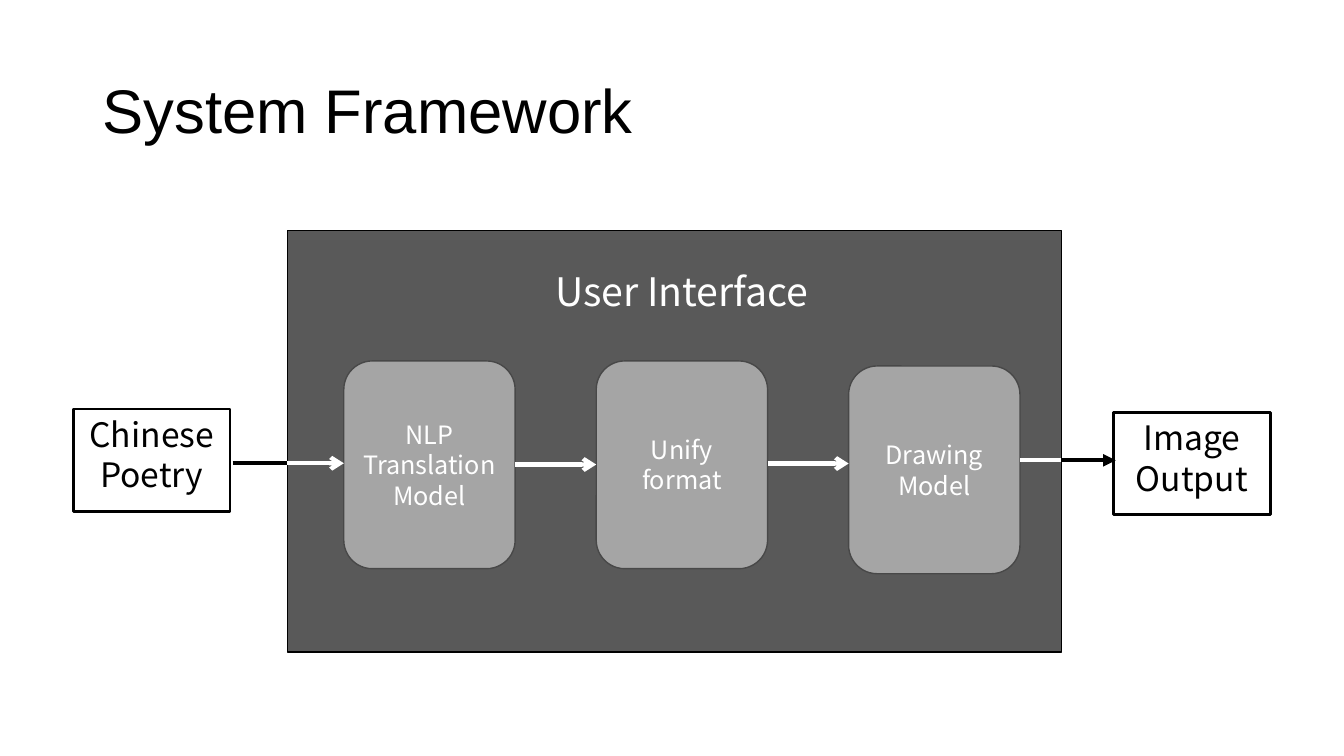
import pptx
import pptx.util
import pptx.dml.color
import pptx.enum.shapes
import pptx.enum.text
import pptx.oxml
import lxml.etree

Pt = pptx.util.Pt
SHAPE = pptx.enum.shapes.MSO_SHAPE
ANCHOR = pptx.enum.text.MSO_ANCHOR
COLORS = {"black": "000000", "white": "FFFFFF", "panel": "595959",
          "model": "A5A5A5", "edge": "484848"}
BODY_FONT = "Noto Sans CJK SC"


def rgb(name):
    """Return the named colour."""
    return pptx.dml.color.RGBColor.from_string(COLORS[name])


def write(tf, text, size, color, font=BODY_FONT, align=pptx.enum.text.PP_ALIGN.CENTER):
    """Fill a text frame with one formatted paragraph."""
    tf.word_wrap = True
    p = tf.paragraphs[0]
    p.text = text
    p.alignment = align
    p.font.size = Pt(size)
    p.font.name = font
    p.font.color.rgb = rgb(color)
    return p


def add_box(s, kind, box, fill, line, width):
    """Add a flat preset shape in the given box."""
    sp = s.shapes.add_shape(kind, *map(Pt, box))
    sp.shadow.inherit = False
    if fill:
        sp.fill.solid()
        sp.fill.fore_color.rgb = rgb(fill)
    else:
        sp.fill.background()
    sp.line.color.rgb = rgb(line)
    sp.line.width = Pt(width)
    return sp


def add_flow(s, x1, x2, y, color, head=None):
    """Add a horizontal flow line with an optional arrowhead."""
    line = s.shapes.add_connector(pptx.enum.shapes.MSO_CONNECTOR.STRAIGHT,
                                  Pt(x1), Pt(y), Pt(x2), Pt(y))
    line.line.color.rgb = rgb(color)
    line.line.width = Pt(3)
    if head:
        ln = line.line._get_or_add_ln()
        lxml.etree.SubElement(ln, pptx.oxml.ns.qn("a:tailEnd"), type=head)
    lxml.etree.SubElement(line._element.spPr, pptx.oxml.ns.qn("a:effectLst"))


def add_title(s, box, text):
    """Place and format the title placeholder."""
    sp = s.shapes.title
    sp.left, sp.top, sp.width, sp.height = map(Pt, box)
    tf = sp.text_frame
    tf.vertical_anchor = ANCHOR.MIDDLE
    p = write(tf, text, 44, "black", "Arial", pptx.enum.text.PP_ALIGN.LEFT)
    p.line_spacing = 0.9


def add_interface(s, box):
    """Draw the user interface panel with its chain of models."""
    x, y, w, h = box
    add_box(s, SHAPE.RECTANGLE, box, "panel", "black", 1)
    label = s.shapes.add_textbox(Pt(x + 16), Pt(y + 22.3), Pt(w - 21.6), Pt(45.4))
    write(label.text_frame, "User Interface", 28, "white")

    first, pitch, width, height = x + 40.4, 180.3, 122.4, 148.4
    models = [("NLP Translation Model", 93), ("Unify format", 93), ("Drawing Model", 96.6)]
    for i, (text, drop) in enumerate(models):
        sp = add_box(s, SHAPE.ROUNDED_RECTANGLE,
                     (first + i * pitch, y + drop, width, height), "model", "edge", 1)
        sp.text_frame.vertical_anchor = ANCHOR.MIDDLE
        write(sp.text_frame, text, 18, "white")

    add_flow(s, x, first, y + 166.1, "white", "arrow")
    for i, drop in enumerate((167, 166.3)):
        left = first + i * pitch
        add_flow(s, left + width, left + pitch, y + drop, "white", "arrow")
    add_flow(s, first + 2 * pitch + width, x + w, y + 164, "white")


def add_endpoint(s, box, text, flow, head=None):
    """Draw an outer box and the line joining it to the panel."""
    sp = add_box(s, SHAPE.RECTANGLE, box, None, "black", 2)
    sp.text_frame.vertical_anchor = ANCHOR.TOP
    write(sp.text_frame, text, 24, "black")
    add_flow(s, *flow, "black", head)


def main():
    """Build and save the slide."""
    prs = pptx.Presentation()
    prs.slide_width, prs.slide_height = Pt(960), Pt(540)
    s = prs.slides.add_slide(prs.slide_layouts[5])
    x, y, w, h = panel = (205.2, 164.8, 553, 301)
    add_title(s, (66, 28.8, 828, 104.4), "System Framework")
    add_interface(s, panel)
    add_endpoint(s, (52.5, 292.2, 111.8, 73), "Chinese Poetry",
                 (166.2, x, y + 166.1))
    add_endpoint(s, (795.5, 294.4, 111.8, 73), "Image Output",
                 (x + w, 797, y + 164), "triangle")
    prs.save("out.pptx")


if __name__ == "__main__":
    main()
